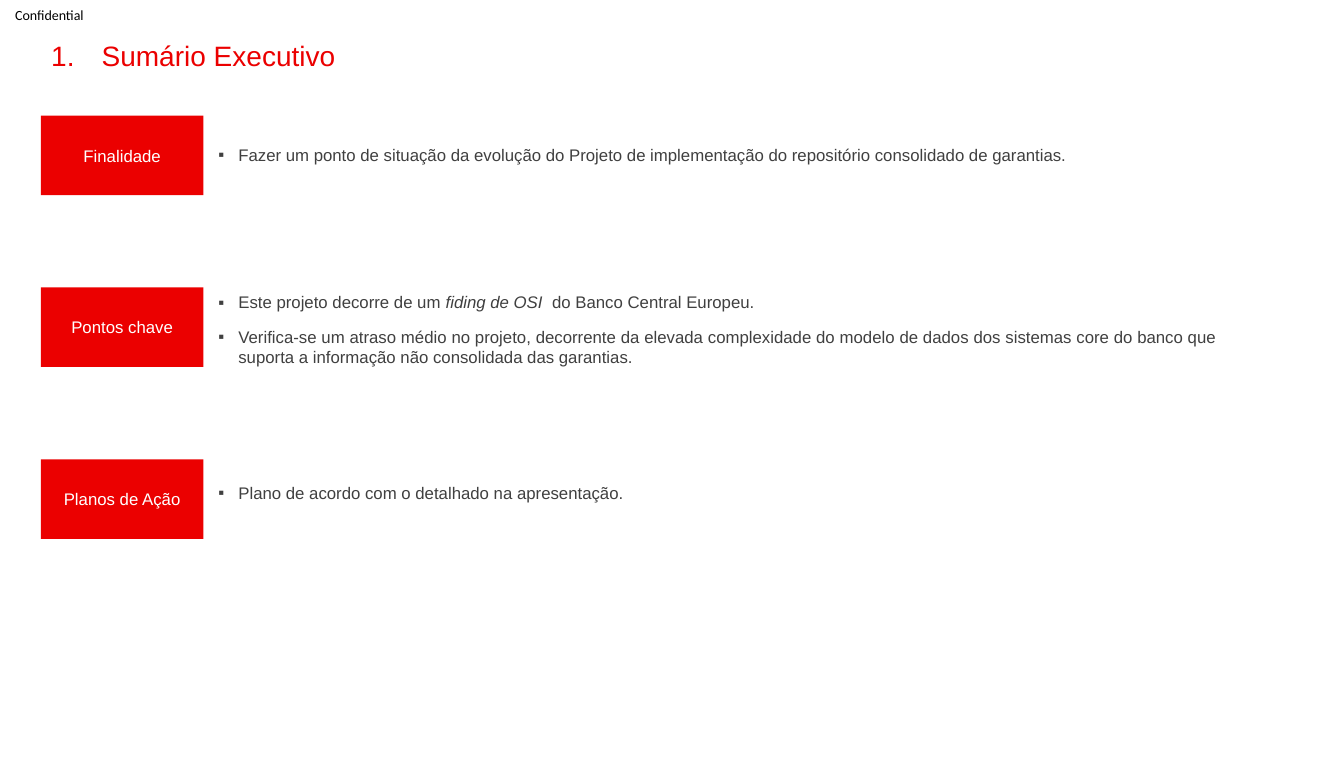
from lxml import etree
from pptx import Presentation
from pptx import util as u
from pptx.dml.color import RGBColor
from pptx.enum import shapes, text
from pptx.oxml import ns

RED = RGBColor(0xEB, 0x00, 0x00)
GREY = RGBColor(0x40, 0x40, 0x40)
WHITE = RGBColor(0xFF, 0xFF, 0xFF)
BLACK = RGBColor(0x00, 0x00, 0x00)


class Deck:
    """Holds the style and the current slide."""

    font = "Arial"

    def __init__(self, wide, high):
        self.file = Presentation()
        self.file.slide_width, self.file.slide_height = u.Pt(wide), u.Pt(high)
        self.slide = self.file.slides.add_slide(self.file.slide_layouts[6])

    def put(self, item, form):
        for key, val in form.items():
            setattr(item, key, val)

    def run(self, par, words, size, color, **form):
        run = par.add_run()
        run.text = words
        self.put(run.font, {"name": self.font, "size": u.Pt(size), **form})
        run.font.color.rgb = color

    def mark(self, par, indent, tag, **attrs):
        props = par._p.get_or_add_pPr()
        props.set("marL", str(u.Pt(indent)))
        props.set("indent", str(-u.Pt(indent)))
        etree.SubElement(props, ns.qn("a:buFont")).set("typeface", self.font)
        bullet = etree.SubElement(props, ns.qn(tag))
        for key, val in attrs.items():
            bullet.set(key, val)

    def box(self, *place, **form):
        frame = self.slide.shapes.add_textbox(*map(u.Pt, place)).text_frame
        self.put(frame, {"word_wrap": True, **form})
        return frame

    def tile(self, words, *place):
        tile = self.slide.shapes.add_shape(
            shapes.MSO_SHAPE.RECTANGLE, *map(u.Pt, place))
        tile.shadow.inherit = False
        tile.fill.solid()
        tile.fill.fore_color.rgb = RED
        tile.line.fill.background()
        tile.text_frame.vertical_anchor = text.MSO_ANCHOR.MIDDLE
        par = tile.text_frame.paragraphs[0]
        par.alignment = text.PP_ALIGN.CENTER
        self.run(par, words, 12, WHITE)

    def points(self, items, *place):
        frame = self.box(*place, auto_size=text.MSO_AUTO_SIZE.SHAPE_TO_FIT_TEXT)
        for num, parts in enumerate(items):
            par = frame.add_paragraph() if num else frame.paragraphs[0]
            self.mark(par, 14.2, "a:buChar", char="▪")
            self.put(par, {"level": 1, "alignment": text.PP_ALIGN.JUSTIFY,
                           "space_after": u.Pt(10)})
            for words, slant in parts:
                self.run(par, words, 12, GREY, italic=slant)


# Each row: label, text top, width, height, bullets as (words, italic) parts
ROWS = [
    ("Finalidade", 100, 778, 21.8, [
        [("Fazer um ponto de situação da evolução do Projeto de implementação "
          "do repositório consolidado de garantias.", False)]]),
    ("Pontos chave", 205.2, 728, 61.2, [
        [("Este projeto decorre de um ", False), ("fiding de OSI ", True),
         (" do Banco Central Europeu.", False)],
        [("Verifica-se um atraso médio no projeto, decorrente da elevada "
          "complexidade do modelo de dados dos sistemas core do banco que "
          "suporta a informação não consolidada das garantias.", False)]]),
    ("Planos de Ação", 341.2, 778, 61.2, [
        [("Plano de acordo com o detalhado na apresentação.", False)]]),
]


def main():
    deck = Deck(960, 558.7)

    # Confidentiality label
    label = deck.box(0, 0, 71.3, 20.9, margin_left=u.Pt(10.8), margin_right=0,
                     margin_top=0, margin_bottom=0,
                     vertical_anchor=text.MSO_ANCHOR.MIDDLE)
    deck.run(label.paragraphs[0], "Confidential", 10, BLACK, name="Calibri")

    # Numbered title
    title = deck.box(29.5, 26.6, 847.4, 24.5).paragraphs[0]
    deck.mark(title, 36, "a:buAutoNum", type="arabicPeriod")
    title.line_spacing = 0.9
    deck.run(title, "Sumário Executivo", 20, RED)

    # Rows of label and bullets
    for num, (name, top, wide, high, items) in enumerate(ROWS):
        deck.tile(name, 29.3, 82.6 + 122.8 * num, 116, 56.8)
        deck.points(items, 149, top, wide, high)

    deck.file.save("out.pptx")


if __name__ == "__main__":
    main()
